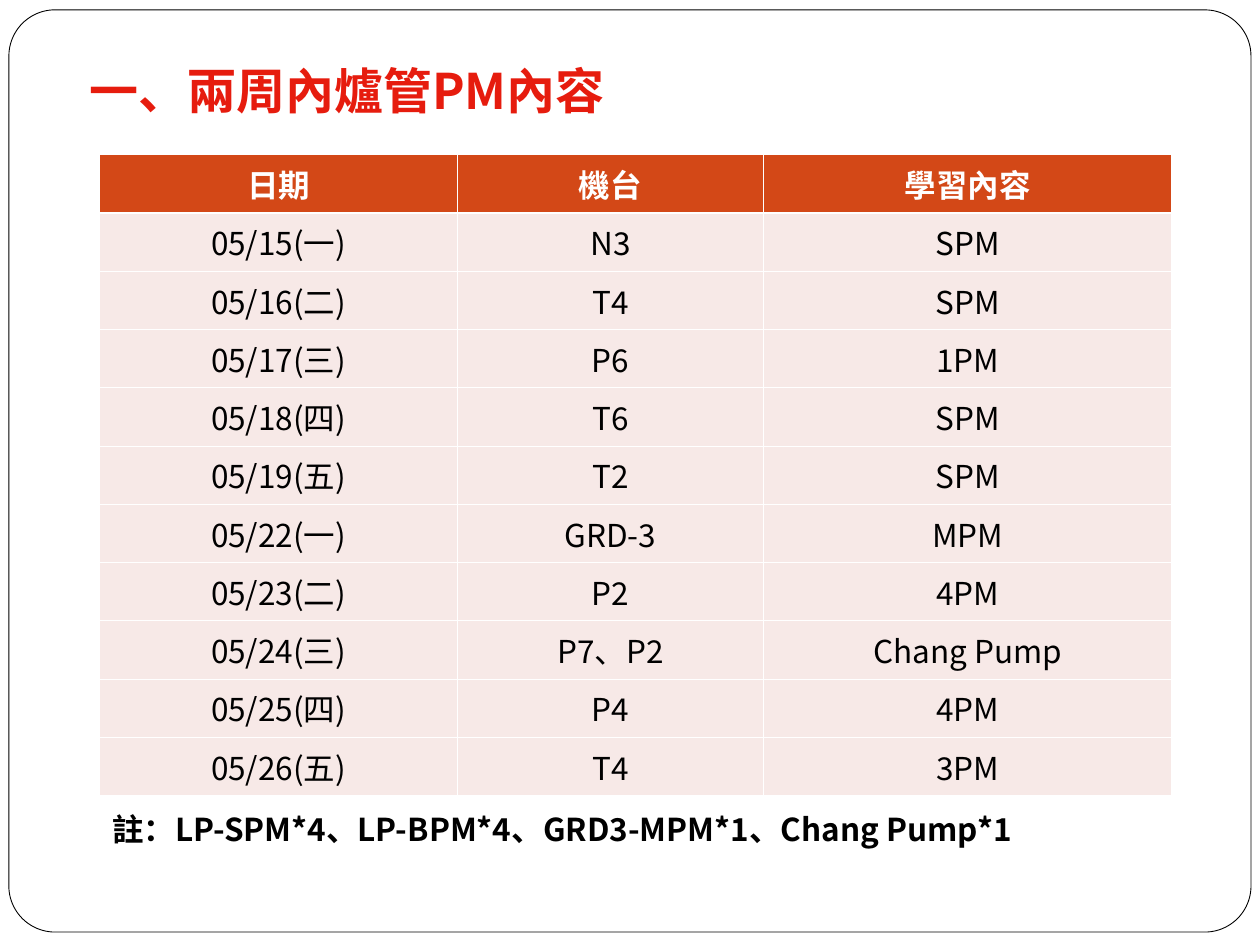
from lxml.etree import SubElement
from pptx import Presentation
from pptx.dml.color import RGBColor
from pptx.enum.shapes import MSO_SHAPE
from pptx.enum.text import MSO_ANCHOR, MSO_AUTO_SIZE, PP_ALIGN
from pptx.oxml.ns import qn
from pptx.util import Cm, Pt

TITLE = "一、兩周內爐管PM內容"
NOTE = "註：LP-SPM*4、LP-BPM*4、GRD3-MPM*1、Chang Pump*1"
SCHEDULE = [
    ("日期", "機台", "學習內容"),
    ("05/15(一)", "N3", "SPM"),
    ("05/16(二)", "T4", "SPM"),
    ("05/17(三)", "P6", "1PM"),
    ("05/18(四)", "T6", "SPM"),
    ("05/19(五)", "T2", "SPM"),
    ("05/22(一)", "GRD-3", "MPM"),
    ("05/23(二)", "P2", "4PM"),
    ("05/24(三)", "P7、P2", "Chang Pump"),
    ("05/25(四)", "P4", "4PM"),
    ("05/26(五)", "T4", "3PM"),
]
COLUMN_WIDTHS = (7.21, 6.17, 8.23)
ROW_HEIGHT = 1.13
LEFT = 2.01

FONT = "Noto Sans CJK SC"
WHITE = RGBColor(0xFF, 0xFF, 0xFF)
BLACK = RGBColor(0, 0, 0)
RED = RGBColor(0xE6, 0x1C, 0x0E)
ORANGE = RGBColor(0xD3, 0x48, 0x17)
PINK = RGBColor(0xF7, 0xE9, 0xE7)
THIN, THICK = Pt(0.45), Pt(1.47)


def write(frame, text, size=18, color=BLACK, bold=False, align=PP_ALIGN.LEFT):
    paragraph = frame.paragraphs[0]
    paragraph.alignment = align
    run = paragraph.add_run()
    run.text = text
    font = run.font
    font.name, font.size, font.bold = FONT, Pt(size), bold
    font.color.rgb = color
    SubElement(font._element, qn("a:ea"), typeface=FONT)


def place(shape, left, top, width, height):
    shape.left, shape.top = Cm(left), Cm(top)
    shape.width, shape.height = Cm(width), Cm(height)


def add_borders(cell, top, bottom):
    properties = cell._tc.get_or_add_tcPr()
    sides = {"lnL": THIN, "lnR": THIN, "lnT": top, "lnB": bottom}
    for index, (side, width) in enumerate(sides.items()):
        line = SubElement(properties, qn(f"a:{side}"), w=str(width))
        fill = SubElement(line, qn("a:solidFill"))
        SubElement(fill, qn("a:srgbClr"), val=str(WHITE))
        properties.insert(index, line)


def add_frame(slide):
    shape = slide.shapes.add_shape(
        MSO_SHAPE.ROUNDED_RECTANGLE, Cm(0.18), Cm(0.2), Cm(25.04), Cm(18.59))
    shape.adjustments[0] = 0.05
    shape.shadow.inherit = False
    shape.fill.solid()
    shape.fill.fore_color.rgb = WHITE
    shape.line.color.rgb = BLACK
    shape.line.width = Pt(0.5)
    slide.shapes.title._element.addprevious(shape._element)


def add_schedule(slide):
    rows, columns = len(SCHEDULE), len(COLUMN_WIDTHS)
    table = slide.shapes.add_table(
        rows, columns, Cm(LEFT), Cm(3.12),
        Cm(sum(COLUMN_WIDTHS)), Cm(rows * ROW_HEIGHT)).table
    for column, width in zip(table.columns, COLUMN_WIDTHS):
        column.width = Cm(width)
    for row_index, texts in enumerate(SCHEDULE):
        table.rows[row_index].height = Cm(ROW_HEIGHT)
        header = row_index == 0
        for column_index, text in enumerate(texts):
            cell = table.cell(row_index, column_index)
            cell.vertical_anchor = MSO_ANCHOR.MIDDLE
            cell.fill.solid()
            cell.fill.fore_color.rgb = ORANGE if header else PINK
            add_borders(cell, THICK if row_index == 1 else THIN,
                        THICK if header else THIN)
            write(cell.text_frame, text, color=WHITE if header else BLACK,
                  bold=header, align=PP_ALIGN.CENTER)


def main():
    presentation = Presentation()
    presentation.slide_width, presentation.slide_height = Cm(25.4), Cm(19.05)
    slide = presentation.slides.add_slide(presentation.slide_layouts[5])
    add_frame(slide)
    add_schedule(slide)

    title = slide.shapes.title
    place(title, 1.55, 1.09, 11.4, 1.45)
    title.text_frame.word_wrap = False
    write(title.text_frame, TITLE, size=28, color=RED, bold=True)

    note = slide.shapes.add_textbox(0, 0, 0, 0)
    place(note, LEFT, 16.2, 20.19, 1.02)
    note.text_frame.word_wrap = True
    write(note.text_frame, NOTE, bold=True)

    for shape in (title, note):
        shape.text_frame.auto_size = MSO_AUTO_SIZE.NONE
        shape.text_frame.vertical_anchor = MSO_ANCHOR.MIDDLE
    presentation.save("out.pptx")


if __name__ == "__main__":
    main()
